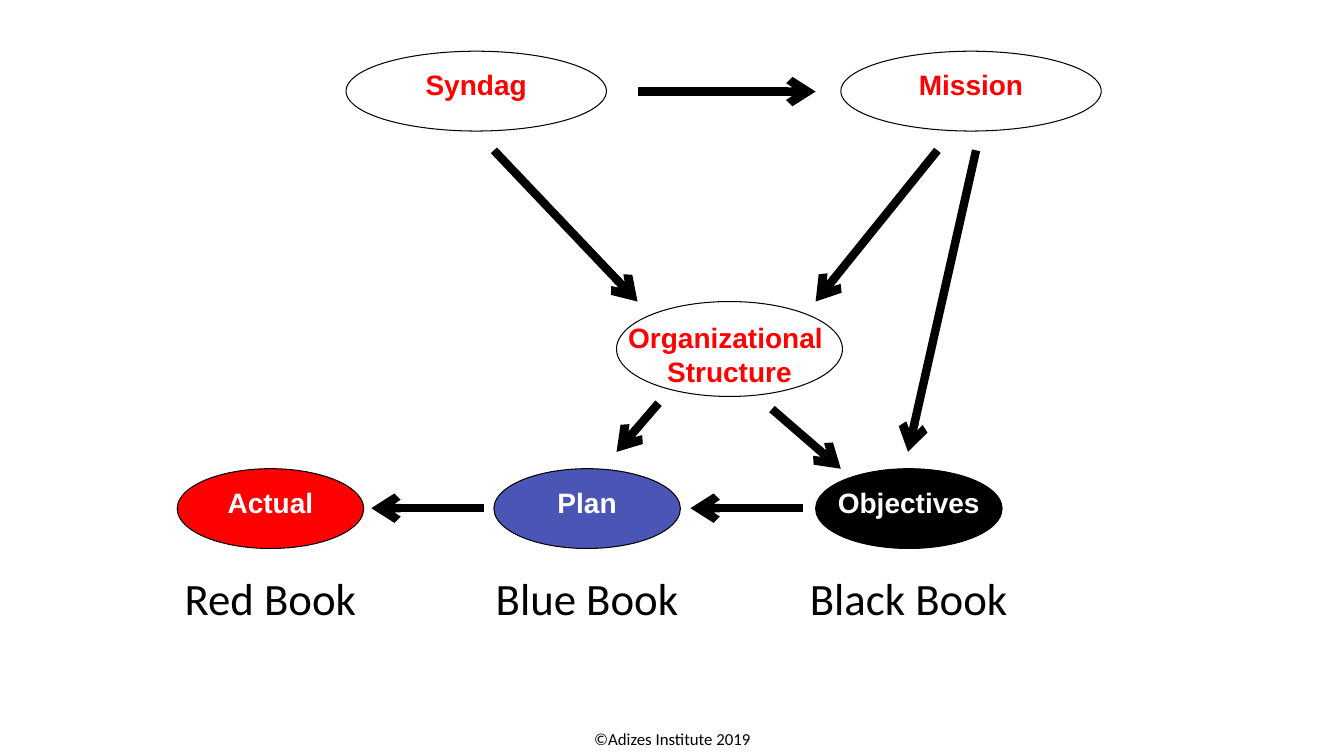
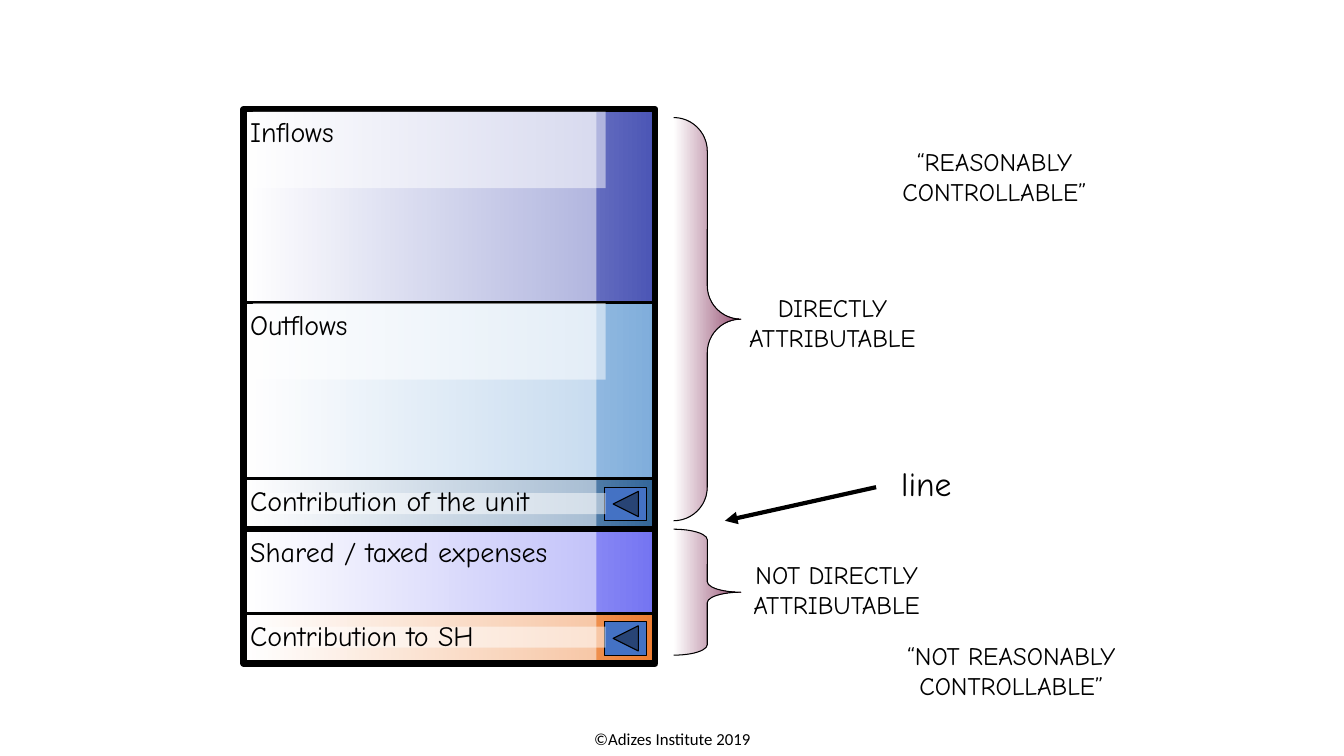
from dataclasses import dataclass
from lxml.etree import SubElement as Sub
from pptx import Presentation
from pptx.dml.color import RGBColor as RGB
from pptx.enum.shapes import MSO_CONNECTOR as Link, MSO_SHAPE as Form
from pptx.enum.text import MSO_ANCHOR as Anchor, PP_ALIGN as Align
from pptx.oxml.ns import qn
from pptx.util import Inches, Pt


@dataclass(frozen=True)
class Theme:
    black: str = "000000"
    white: str = "FFFFFF"
    red: str = "FF0000"
    blue: str = "4B55B5"
    sky: str = "7FADDB"
    steel: str = "336699"
    violet: str = "7474F2"
    orange: str = "ED7D31"
    plum: str = "954F72"
    button: str = "4472C4"
    sans: str = "Arial"
    body: str = "Calibri"
    hand: str = "Comic Neue"
    foot: int = 12
    note: int = 18
    label: int = 20
    line: int = 24
    book: int = 32
    thin: float = 0.75
    rule: float = 2.25
    bold: float = 4.5
    arrow: float = 6


T = Theme()
COLS, ROWS = 160, 90  # grid of the whole slide

# Content of slide 1, in columns and rows
FOOT = "©Adizes Institute 2019"
GOALS = [  # text, left, top, width, height
    ("Organizational \nStructure", 73.4, 35.9, 26.9, 11.3),
    ("Syndag", 41.2, 6.1, 31, 9.5),
    ("Mission", 100.1, 6.1, 31, 9.5),
]
BOOKS = [  # text, left, fill, caption
    ("Actual", 21.1, T.red, "Red Book"),
    ("Plan", 58.8, T.blue, "Blue Book"),
    ("Objectives", 97.1, T.black, "Black Book"),
]
BOOK_TOP, BOOK_W, BOOK_H = 55.8, 22.2, 9.5
CAP_TOP, CAP_W = 67.4, 30
FLOWS = [  # from, to
    ((76, 10.9), (97.1, 10.9)),
    ((111.6, 17.9), (97.1, 35.9)),
    ((58.8, 17.9), (75.9, 35.9)),
    ((116.2, 17.9), (108.1, 53.8)),
    ((91.9, 48.7), (100.1, 55.8)),
    ((78.4, 48), (73.4, 53.8)),
    ((95.6, 60.5), (82.2, 60.5)),
    ((57.6, 60.5), (44.2, 60.5)),
]

# Content of slide 2
LEFT, RIGHT, END = 29, 78, 79
BANDS = [  # text, top, colour, rule above, strip offset and height, button
    ("Inflows", 13, T.blue, None, (0.3, 9.1), False),
    ("Outflows", 36, T.sky, T.rule, (0.1, 9.1), False),
    ("Contribution of the unit", 57, T.steel, T.rule, (1.7, 2.5), True),
    ("Shared / taxed expenses", 63, T.violet, T.bold, None, False),
    ("Contribution to SH", 73, T.orange, T.rule, (1.6, 2.5), True),
]
BRACES = [(14, 48, 0.5), (63, 15, 0.156)]  # top, height, curve
NOTES = [  # text, left, top, width
    ("“REASONABLY\nCONTROLLABLE”", 104, 16.8, 28.8),
    ("“NOT REASONABLY\nCONTROLLABLE”", 104, 75.6, 32.8),
    ("DIRECTLY\nATTRIBUTABLE", 85.9, 34.2, 26.4),
    ("NOT DIRECTLY\nATTRIBUTABLE", 86.4, 66, 26.4),
]

deck = Presentation()
deck.slide_width, deck.slide_height = Inches(13.33), Inches(7.5)


def x(col):
    return round(deck.slide_width * col / COLS)


def y(row):
    return round(deck.slide_height * row / ROWS)


def box(left, top, wide, high):
    return x(left), y(top), x(wide), y(high)


def write(shape, text, size, font, color=T.black, align=Align.LEFT,
          bold=False, wrap=True):
    frame = shape.text_frame
    frame.text = text
    frame.word_wrap = wrap
    frame.vertical_anchor = Anchor.TOP
    for para in frame.paragraphs:
        para.alignment = align
        for run in para.runs:
            run.font.size, run.font.name, run.font.bold = Pt(size), font, bold
            run.font.color.rgb = RGB.from_string(color)
    return frame


def label(slide, place, *args, **opts):
    return write(slide.shapes.add_textbox(*box(*place)), *args, **opts)


def draw(slide, form, place, fill=None, line=None, fade=False, alpha=None):
    shape = slide.shapes.add_shape(form, *box(*place))
    shape.shadow.inherit = False
    if fade:  # white to the fill colour, left to right
        shape.fill.gradient()
        shape.fill.gradient_angle = 0
        for stop, color in zip(shape.fill.gradient_stops, (T.white, fill)):
            stop.color.rgb = RGB.from_string(color)
    elif fill:
        shape.fill.solid()
        shape.fill.fore_color.rgb = RGB.from_string(fill)
    else:
        shape.fill.background()
    if alpha:
        tint = shape.fill._xPr.find(".//" + qn("a:srgbClr"))
        Sub(tint, qn("a:alpha"), val=str(alpha * 1000))
    if line:
        shape.line.width = Pt(line)
        shape.line.color.rgb = RGB.from_string(T.black)
    else:
        shape.line.fill.background()
    return shape


def link(slide, start, end, width, head=None):
    wire = slide.shapes.add_connector(
        Link.STRAIGHT, x(start[0]), y(start[1]), x(end[0]), y(end[1]))
    wire.line.width = Pt(width)
    wire.line.color.rgb = RGB.from_string(T.black)
    if head:
        Sub(wire.line._get_or_add_ln(), qn("a:tailEnd"), type=head)
    Sub(wire._element.spPr, qn("a:effectLst"))


def page():
    slide = deck.slides.add_slide(deck.slide_layouts[6])
    frame = label(slide, (53.4, 86.2, 53.3, 3.6), FOOT, T.foot, T.body,
                  align=Align.CENTER)
    frame.margin_top = Inches(0.06)
    frame.paragraphs[0].line_spacing = 0.93
    return slide


def oval(slide, text, place, color, fill=None):
    shape = draw(slide, Form.OVAL, place, fill, T.thin)
    write(shape, text, T.label, T.sans, color, Align.CENTER, True, False)


def veil(slide, *place):
    draw(slide, Form.RECTANGLE, place, T.white, alpha=50)


def books():
    slide = page()
    for text, *place in GOALS:
        oval(slide, text, place, T.red)
    for text, left, fill, name in BOOKS:
        oval(slide, text, (left, BOOK_TOP, BOOK_W, BOOK_H), T.white, fill)
        start = left + (BOOK_W - CAP_W) / 2
        label(slide, (start, CAP_TOP, CAP_W, 7.7), name, T.book, T.body,
              align=Align.CENTER)
    for start, end in FLOWS:
        link(slide, start, end, T.arrow, "arrow")


def budget():
    slide = page()
    wide = RIGHT - LEFT
    tops = [band[1] for band in BANDS]

    # Shaded bands and frame
    for (_, top, color, *_), end in zip(BANDS, tops[1:] + [END]):
        draw(slide, Form.RECTANGLE, (LEFT, top, wide, end - top), color,
             fade=True)
    veil(slide, LEFT, tops[0], 42, END - tops[0])
    draw(slide, Form.RECTANGLE, (LEFT, tops[0], wide, END - tops[0]),
         line=T.bold)

    # Rules, buttons, strips and names
    for text, top, _, rule, strip, button in BANDS:
        if rule:
            link(slide, (LEFT, top), (RIGHT, top), rule)
        if button:
            draw(slide, Form.ACTION_BUTTON_BACK_OR_PREVIOUS,
                 (72, top + 1, 5, 4), T.button, T.thin)
        if strip:
            veil(slide, 30.1, top + strip[0], 42, strip[1])
        label(slide, (28.6, top, 43, 5.3), text, T.label, T.hand)

    # Braces and notes
    for top, high, curve in BRACES:
        brace = draw(slide, Form.RIGHT_BRACE, (80.2, top, 8, high), T.plum,
                     T.thin, fade=True)
        brace.adjustments[0] = curve
    for text, left, top, width in NOTES:
        label(slide, (left, top, width, 8.5), text, T.note, T.hand,
              align=Align.CENTER)
    label(slide, (106.1, 54.5, 9, 6.1), "line", T.line, T.hand)
    link(slide, (104.3, 58), (86.3, 62), 3, "triangle")


def main():
    books()
    budget()
    deck.save("out.pptx")


if __name__ == "__main__":
    main()
